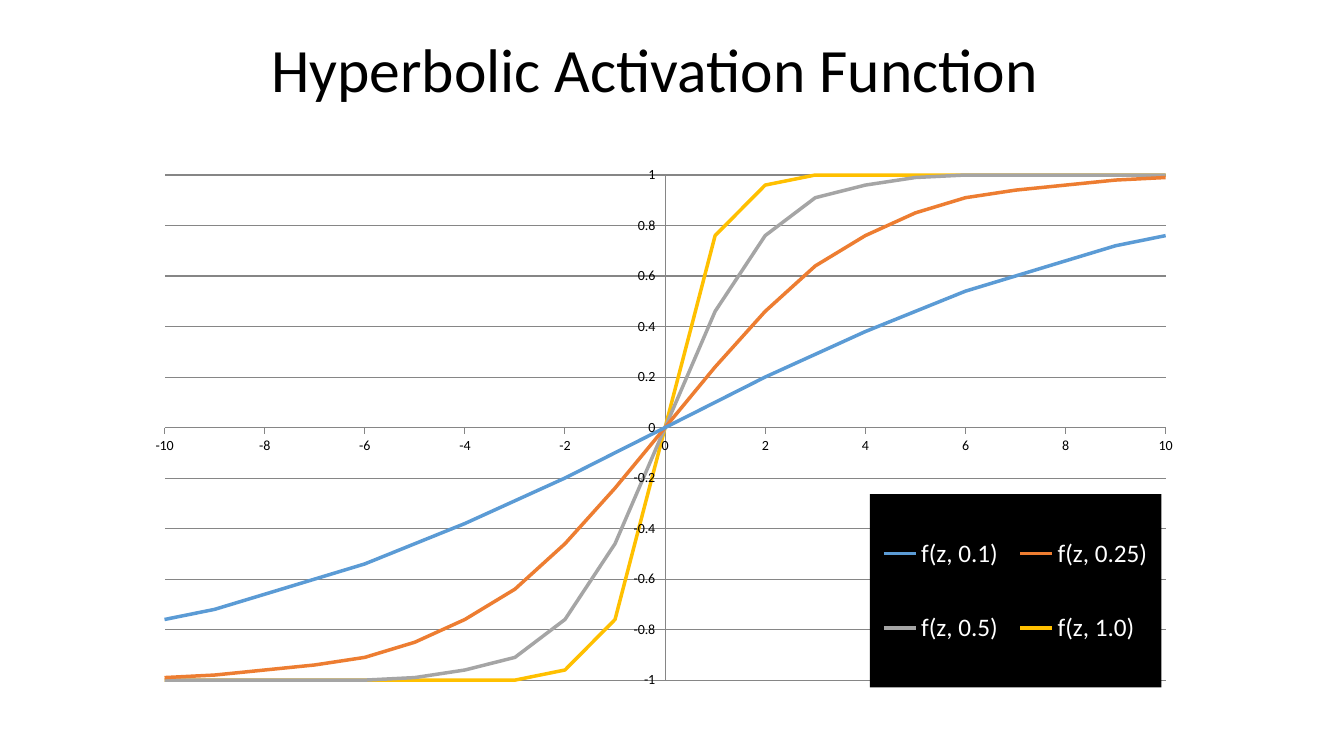
"""Build a slide that plots the hyperbolic activation function."""
from math import tanh

from lxml import etree
from pptx import Presentation
from pptx.chart.data import XyChartData
from pptx.dml.color import RGBColor
from pptx.enum.chart import XL_CHART_TYPE, XL_LEGEND_POSITION, XL_TICK_MARK
from pptx.enum.text import MSO_ANCHOR, PP_ALIGN
from pptx.oxml import parse_xml
from pptx.oxml.ns import nsdecls, qn
from pptx.util import Inches, Pt

SMOOTH = XL_CHART_TYPE.XY_SCATTER_SMOOTH_NO_MARKERS
RIGHT = XL_LEGEND_POSITION.RIGHT
OUT = XL_TICK_MARK.OUTSIDE
NONE = XL_TICK_MARK.NONE
MIDDLE = MSO_ANCHOR.MIDDLE
CENTER = PP_ALIGN.CENTER

BLACK = RGBColor(0x00, 0x00, 0x00)
WHITE = RGBColor(0xFF, 0xFF, 0xFF)
GRAY = RGBColor(0x86, 0x86, 0x86)
BLUE = RGBColor(0x5B, 0x9B, 0xD5)
ORANGE = RGBColor(0xED, 0x7D, 0x31)
SILVER = RGBColor(0xA5, 0xA5, 0xA5)
GOLD = RGBColor(0xFF, 0xC0, 0x00)

CURVES = [("0.1", BLUE), ("0.25", ORANGE), ("0.5", SILVER), ("1.0", GOLD)]


class Deck:
    face = "Calibri"

    def __init__(self, wide, high):
        self.show = Presentation()
        self.show.slide_width = Inches(wide)
        self.show.slide_height = Inches(high)
        self.slide = self.show.slides.add_slide(self.show.slide_layouts[6])

    def area(self, left, top, wide, high):
        full, tall = self.show.slide_width, self.show.slide_height
        return int(left * full), int(top * tall), int(wide * full), int(high * tall)

    def style(self, font, size, color):
        font.name = self.face
        font.size = Pt(size)
        font.color.rgb = color

    def text(self, words, share, size=18, color=BLACK, align=CENTER, space=1.0):
        frame = self.slide.shapes.add_textbox(*self.area(*share)).text_frame
        frame.word_wrap = True
        frame.vertical_anchor = MIDDLE
        para = frame.paragraphs[0]
        para.alignment = align
        para.line_spacing = space
        run = para.add_run()
        run.text = words
        self.style(run.font, size, color)

    def place(self, node, spot, index, inner=False):
        for old in node.findall(qn("c:layout")):
            node.remove(old)
        pairs = [("layoutTarget", "inner")] if inner else []
        pairs += [("xMode", "edge"), ("yMode", "edge"), *zip("xywh", spot)]
        layout = parse_xml(f"<c:layout {nsdecls('c')}><c:manualLayout/></c:layout>")
        for tag, value in pairs:
            etree.SubElement(layout[0], qn(f"c:{tag}")).set("val", str(value))
        node.insert(index, layout)

    def axis(self, axis, limit, step, tick, grid):
        axis.minimum_scale, axis.maximum_scale = -limit, limit
        axis.major_unit = step
        axis.major_tick_mark, axis.minor_tick_mark = tick, NONE
        axis.has_major_gridlines = grid
        axis.tick_labels.number_format = "General"
        axis.tick_labels.number_format_is_linked = False
        lines = [axis.format.line]
        if grid:
            lines.append(axis.major_gridlines.format.line)
        for line in lines:
            line.color.rgb = GRAY
            line.width = Pt(0.75)

    def legend(self, chart, spot, size, color, fill):
        chart.has_legend = True
        legend = chart.legend
        legend.position = RIGHT
        legend.include_in_layout = True
        self.style(legend.font, size, color)
        node = legend._element
        self.place(node, spot, 1)
        box = parse_xml(
            f"<c:spPr {nsdecls('c', 'a')}><a:solidFill>"
            f'<a:srgbClr val="{fill}"/></a:solidFill></c:spPr>')
        node.find(qn("c:overlay")).addnext(box)

    def chart(self, curves, share, plot):
        data = XyChartData()
        for slope, _ in curves:
            row = data.add_series(f"f(z, {slope})")
            for z in range(-10, 11):
                row.add_data_point(z, round(tanh(float(slope) * z), 2))
        chart = self.slide.shapes.add_chart(SMOOTH, *self.area(*share), data).chart
        chart.has_title = False
        self.style(chart.font, 10, BLACK)
        chart.plots[0].vary_by_categories = False
        for row, (_, color) in zip(chart.plots[0].series, curves):
            row.smooth = True
            row.format.line.color.rgb = color
            row.format.line.width = Pt(2.5)
        self.axis(chart.category_axis, 10, 2, OUT, False)
        self.axis(chart.value_axis, 1, 0.2, OUT, True)
        self.place(chart._chartSpace.chart.plotArea, plot, 0, inner=True)
        return chart


def main():
    deck = Deck(13.33, 7.5)
    deck.text("Hyperbolic Activation Function", (0, 0.03, 0.975, 0.133),
              size=44, space=0.9)
    chart = deck.chart(CURVES, (0.098, 0.212, 0.815, 0.724),
                       (0.03, 0.027, 0.914, 0.923))
    deck.legend(chart, (0.674, 0.61, 0.266, 0.353), 18, WHITE, BLACK)
    deck.show.save("out.pptx")


if __name__ == "__main__":
    main()
